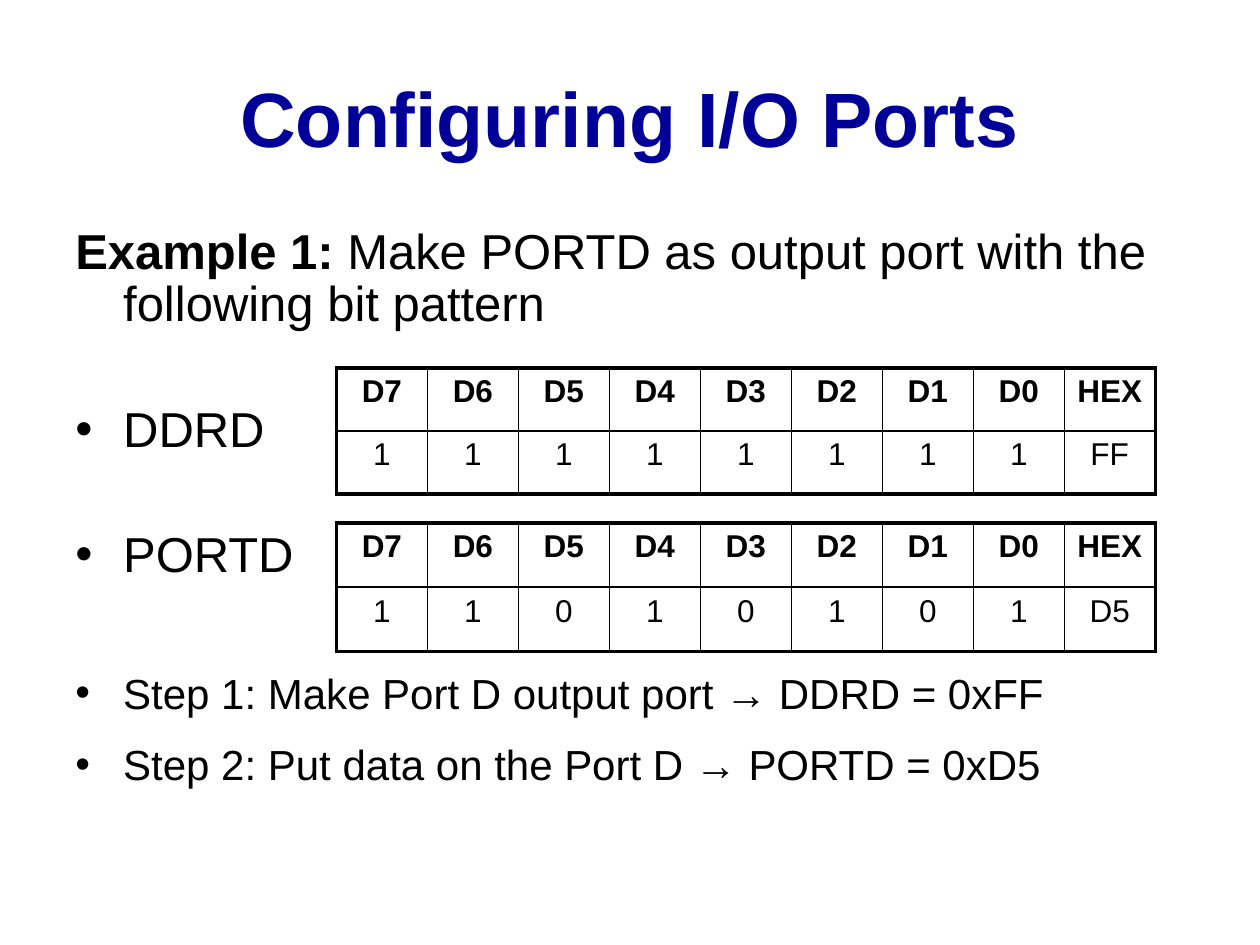
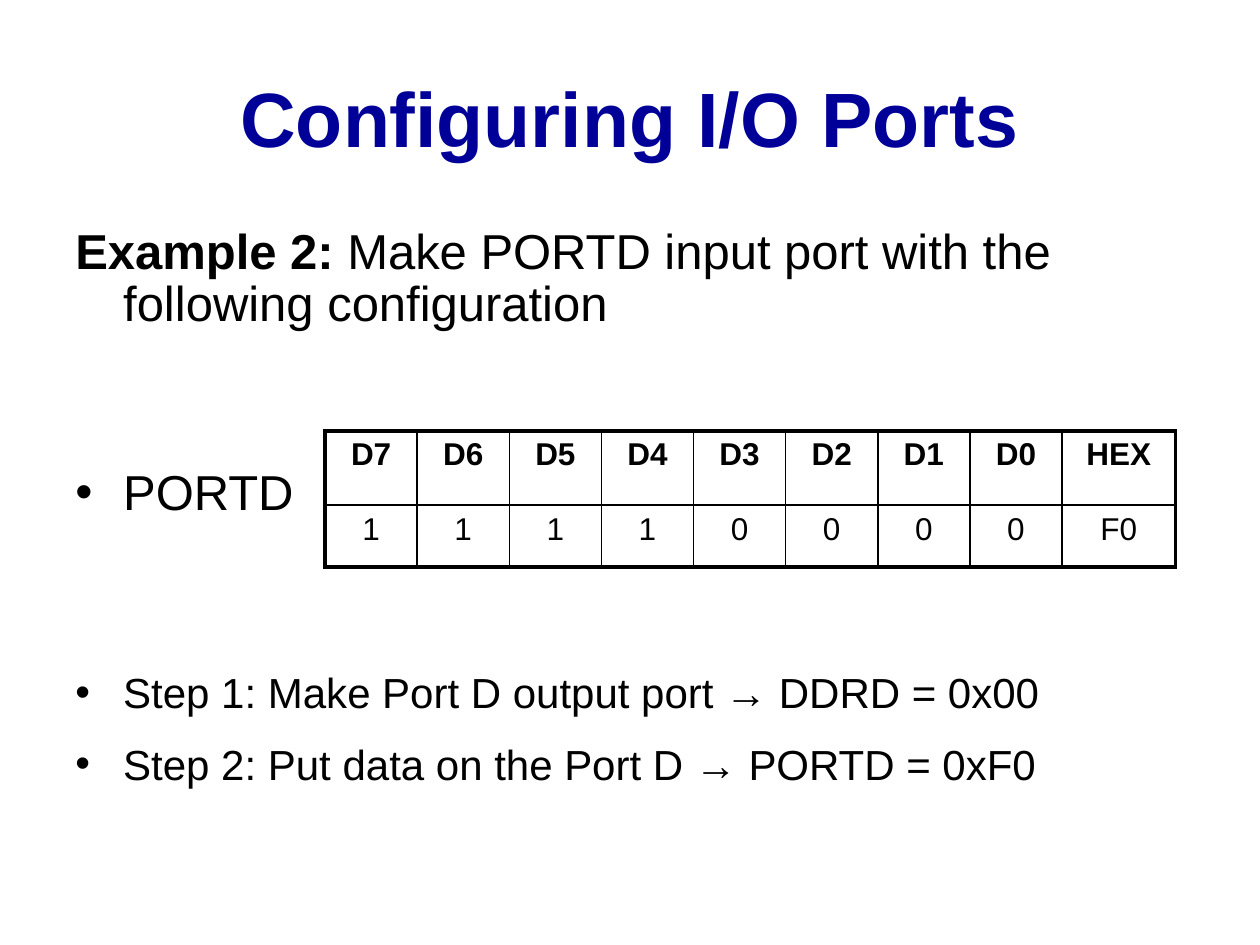
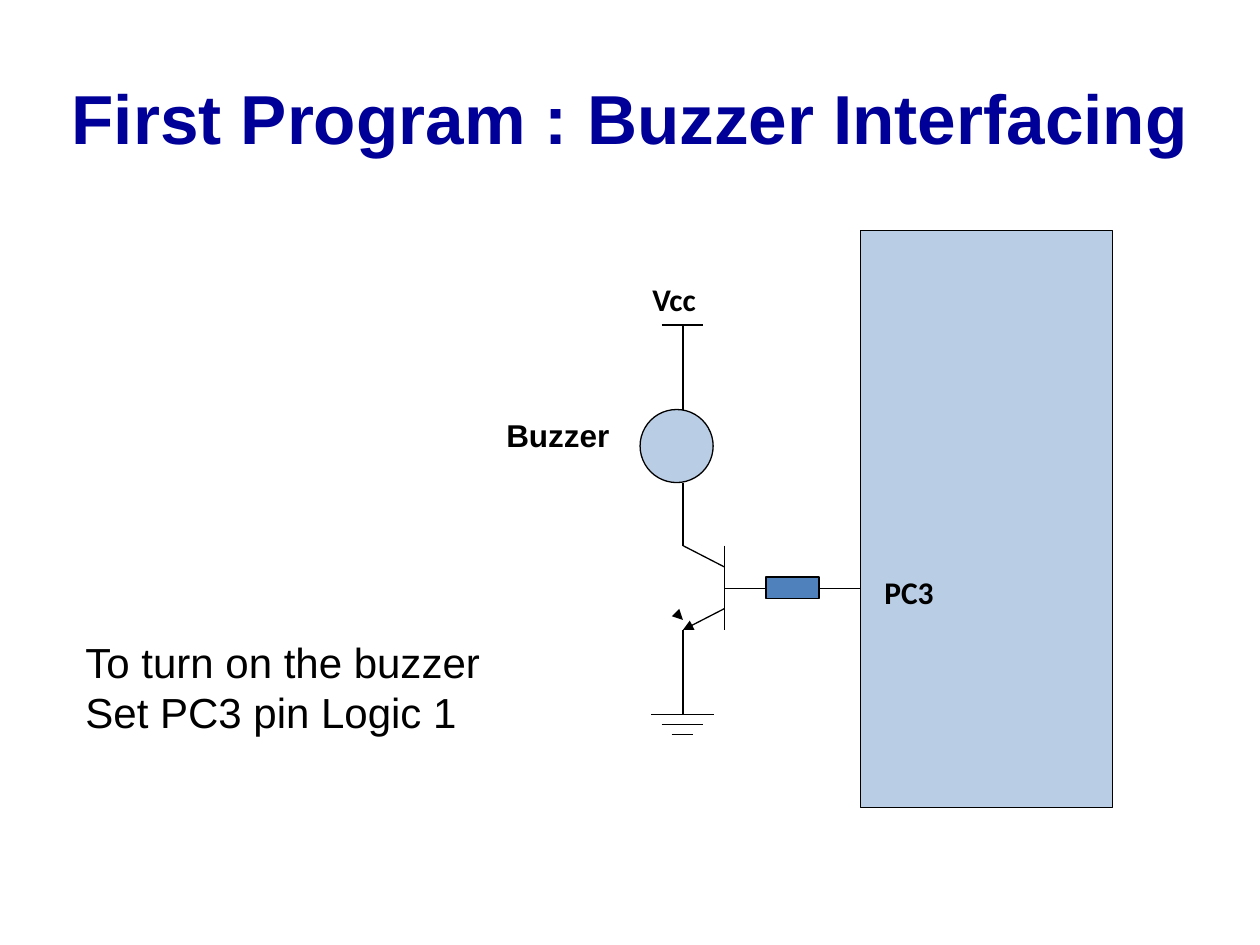
"""Builds three slides on configuring I/O ports and driving a buzzer."""
from pptx import Presentation
from pptx.dml.color import RGBColor as Rgb
from pptx.enum.shapes import MSO_CONNECTOR as Conn, MSO_SHAPE as Kind
from pptx.enum.text import MSO_ANCHOR as Anchor, PP_ALIGN as Align
from pptx.oxml.ns import qn
from pptx.util import Inches, Pt
from lxml.etree import SubElement as Sub

NAVY = Rgb(0x00, 0x00, 0x99)
BLACK = Rgb(0x00, 0x00, 0x00)
PALE = Rgb(0xB9, 0xCD, 0xE5)
BLUE = Rgb(0x4F, 0x81, 0xBD)
THIN, THICK = 1, 2.25
STEP = 35.8
HEAD = ["D7", "D6", "D5", "D4", "D3", "D2", "D1", "D0", "HEX"]

PORTS = [
    dict(
        lead="Example 1:",
        task=" Make PORTD as output port with the following bit pattern",
        names=["DDRD", "PORTD"], skip=1,
        steps=["Step 1: Make Port D output port → DDRD = 0xFF",
               "Step 2: Put data on the Port D → PORTD = 0xD5"],
        grids=[
            dict(at=(2.67, 2.92), width=6.5, last=6.5 / 9, rows=(0.5, 0.5),
                 bits=[*"11111111", "FF"]),
            dict(at=(2.67, 4.15), width=6.5, last=6.5 / 9, rows=(0.51, 0.51),
                 bits=[*"11010101", "D5"]),
        ],
    ),
    dict(
        lead="Example 2:",
        task=" Make PORTD input port with the following configuration",
        names=["PORTD"], skip=2,
        steps=["Step 1: Make Port D output port → DDRD = 0x00",
               "Step 2: Put data on the Port D → PORTD = 0xF0"],
        grids=[
            dict(at=(2.58, 3.42), width=6.75, last=0.9, rows=(0.59, 0.49),
                 bits=[*"11110000", "F0"]),
        ],
    ),
]

WIRES = [
    (6.83, 4.67, 5.75, 4.67), (5.75, 4.33, 5.75, 5), (5.75, 4.5, 5.42, 4.33),
    (5.42, 4.33, 5.42, 3.83), (5.42, 5, 5.42, 5.67), (5.17, 5.67, 5.67, 5.67),
    (5.25, 5.75, 5.58, 5.75), (5.33, 5.83, 5.5, 5.83),
    (5.42, 3.25, 5.42, 2.58), (5.25, 2.58, 5.58, 2.58),
]
ARROWS = [(5.41, 4.91, 5.42, 4.92), (5.75, 4.83, 5.42, 5)]
PARTS = [
    (Kind.RECTANGLE, (6.83, 1.83, 2, 4.58), PALE),
    (Kind.OVAL, (5.08, 3.25, 0.58, 0.58), PALE),
    (Kind.RECTANGLE, (6.08, 4.58, 0.42, 0.17), BLUE),
]
LABELS = [
    ("Vcc", (5.08, 2.17, 0.67, 0.4), "Calibri"),
    ("Buzzer", (3.92, 3.25, 1.33, 0.4), "Arial"),
    ("PC3", (6.92, 4.5, 0.83, 0.4), "Calibri"),
]
NOTE = ["To turn on the buzzer", "Set PC3 pin Logic 1"]


def write(frame, text, size=18, bold=False, color=BLACK, font="Arial",
          align=Align.LEFT, gap=0, pitch=1.0, indent=0, bullet=False, lead=""):
    para = frame.paragraphs[-1]
    if para.runs:
        para = frame.add_paragraph()
    para.alignment = align
    para.space_before = Pt(gap)
    para.line_spacing = pitch
    props = para._p.get_or_add_pPr()
    if indent:
        props.set("marL", str(Inches(indent)))
        props.set("indent", str(-Inches(indent)))
    if bullet:
        Sub(props, qn("a:buFont"), typeface="Arial")
        Sub(props, qn("a:buChar"), char="•")
    for words, heavy in ((lead, True), (text, bold)):
        if words:
            run = para.add_run()
            run.text = words
            run.font.size = Pt(size)
            run.font.bold = heavy
            run.font.name = font
            run.font.color.rgb = color


def start(text, left=0.5, width=9, size=44):
    slide = deck.slides.add_slide(deck.slide_layouts[5])
    title = slide.shapes.title
    title.left, title.top = Inches(left), Inches(0.3)
    title.width, title.height = Inches(width), Inches(1.25)
    title.text_frame.vertical_anchor = Anchor.MIDDLE
    write(title.text_frame, text, size=size, bold=True, color=NAVY,
          align=Align.CENTER)
    return slide


def box(slide, at):
    frame = slide.shapes.add_textbox(*map(Inches, at)).text_frame
    frame.word_wrap = True
    return frame


def edge(props, side, width):
    line = Sub(props, qn("a:ln" + side), w=str(Pt(width)))
    Sub(Sub(line, qn("a:solidFill")), qn("a:srgbClr"), val=str(BLACK))


def grid(slide, at, width, last, rows, bits):
    size = len(HEAD)
    table = slide.shapes.add_table(
        2, size, *map(Inches, (*at, width, sum(rows)))).table
    table.first_row = table.horz_banding = False
    for col in range(size):
        share = last if col == size - 1 else (width - last) / (size - 1)
        table.columns[col].width = Inches(share)
    for row, words in enumerate((HEAD, bits)):
        table.rows[row].height = Inches(rows[row])
        for col, word in enumerate(words):
            cell = table.cell(row, col)
            write(cell.text_frame, word, bold=row == 0, align=Align.CENTER,
                  gap=3.6)
            props = cell._tc.get_or_add_tcPr()
            outer = dict(L=col == 0, R=col == size - 1, T=row == 0, B=row == 1)
            for side, rim in outer.items():
                edge(props, side, THICK if rim else THIN)
            cell.fill.background()


def port(lead, task, names, skip, steps, grids):
    slide = start("Configuring I/O Ports")
    body = box(slide, (0.5, 1.75, 9, 4.95))
    write(body, task, lead=lead, size=28, gap=5.6, pitch=0.9, indent=0.38)
    for name in names:
        write(body, name, size=28, gap=5.6 + skip * STEP, pitch=0.9,
              indent=0.38, bullet=True)
    for num, step in enumerate(steps):
        write(body, step, size=24, gap=12 + (0 if num else skip * STEP),
              indent=0.38, bullet=True)
    for item in grids:
        grid(slide, **item)


def wire(slide, ends, arrow=False):
    line = slide.shapes.add_connector(Conn.STRAIGHT, *map(Inches, ends))
    line.line.color.rgb = BLACK
    line.line.width = Pt(0.75)
    if arrow:
        Sub(line.line._get_or_add_ln(), qn("a:tailEnd"), type="triangle")
    Sub(line._element.spPr, qn("a:effectLst"))


def buzzer():
    slide = start("First Program : Buzzer Interfacing", left=0, width=10,
                  size=39.6)
    for ends in WIRES:
        wire(slide, ends)
    for ends in ARROWS:
        wire(slide, ends, arrow=True)
    for kind, at, color in PARTS:
        part = slide.shapes.add_shape(kind, *map(Inches, at))
        part.shadow.inherit = False
        part.fill.solid()
        part.fill.fore_color.rgb = color
        part.line.color.rgb = BLACK
        part.line.width = Pt(0.75)
    for text, at, font in LABELS:
        write(box(slide, at), text, bold=True, font=font, gap=9)
    note = box(slide, (0.58, 5, 3.46, 0.91))
    for text in NOTE:
        write(note, text, size=24)


deck = Presentation()
deck.slide_width, deck.slide_height = Inches(10), Inches(7.5)
for item in PORTS:
    port(**item)
buzzer()
deck.save("out.pptx")
